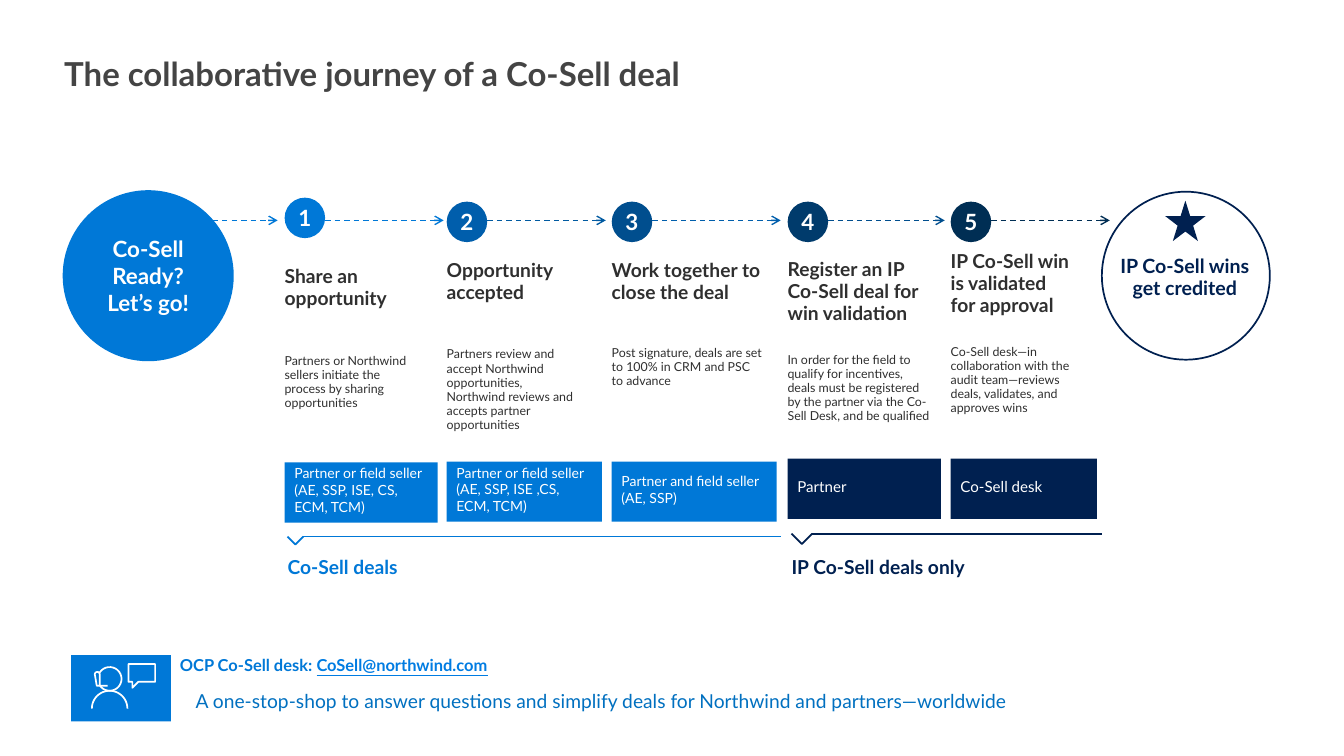
from math import cos, radians, sin

from lxml import etree
from pptx import Presentation
from pptx.dml.color import RGBColor
from pptx.enum.dml import MSO_LINE
from pptx.enum.shapes import MSO_CONNECTOR, MSO_SHAPE
from pptx.enum.text import MSO_ANCHOR, PP_ALIGN
from pptx.oxml.ns import qn
from pptx.util import Inches, Pt

STRAIGHT = MSO_CONNECTOR.STRAIGHT
OVAL, RECT, STAR = MSO_SHAPE.OVAL, MSO_SHAPE.RECTANGLE, MSO_SHAPE.STAR_5_POINT
TOP, MIDDLE = MSO_ANCHOR.TOP, MSO_ANCHOR.MIDDLE
LEFT, CENTER = PP_ALIGN.LEFT, PP_ALIGN.CENTER
DASH = MSO_LINE.DASH

BLUE = RGBColor(0x00, 0x78, 0xD7)
NAVY = RGBColor(0x00, 0x20, 0x50)
BLUE_2 = RGBColor(0x00, 0x5E, 0xAC)
BLUE_2_LINE = RGBColor(0x00, 0x5A, 0xA1)
BLUE_3 = RGBColor(0x00, 0x4E, 0x8E)
BLUE_4 = RGBColor(0x00, 0x3B, 0x6C)
BLUE_5 = RGBColor(0x00, 0x2E, 0x54)
MAIL_BLUE = RGBColor(0x00, 0x7C, 0xE2)
TAGLINE_BLUE = RGBColor(0x00, 0x70, 0xC0)
TITLE_GREY = RGBColor(0x44, 0x44, 0x44)
TEXT_GREY = RGBColor(0x2F, 0x2F, 0x2F)
WHITE = RGBColor(0xFF, 0xFF, 0xFF)

SLIDE_W, SLIDE_H = Inches(13.6), Inches(7.65)
COLUMNS = 136                      # square grid, ten cells to the inch
CELL = SLIDE_W / COLUMNS
BADGE = 4.1
ARROW_Y = 22.3


def grid(*cells):
    return [round(c * CELL) for c in cells]


def write(tf, text, size, color, bold=False, align=LEFT, anchor=TOP,
          spacing=1.0, insets=(0, 0, 0, 0)):
    tf.word_wrap = True
    tf.vertical_anchor = anchor
    tf.margin_left, tf.margin_top, tf.margin_right, tf.margin_bottom = grid(*insets)
    tf.text = text
    style(tf.paragraphs[0], size, color, bold, align, spacing)


def style(p, size, color, bold=False, align=LEFT, spacing=1.0):
    p.alignment, p.line_spacing = align, spacing
    for r in p.runs:
        r.font.name, r.font.size, r.font.bold = "Lato", Pt(size), bold
        r.font.color.rgb = color


def text_box(s, box, text, size, color, **look):
    tf = s.shapes.add_textbox(*grid(*box)).text_frame
    write(tf, text, size, color, **look)
    return tf


def paint(sp, fill=None, line=None, width=1.25):
    sp.shadow.inherit = False
    if fill is None:
        sp.fill.background()
    else:
        sp.fill.solid()
        sp.fill.fore_color.rgb = fill
    if line is None:
        sp.line.fill.background()
    else:
        sp.line.color.rgb, sp.line.width = line, Pt(width)


def shape(s, kind, box, **look):
    sp = s.shapes.add_shape(kind, *grid(*box))
    paint(sp, **look)
    return sp


def outline(s, points, color):
    points = [grid(*pt) for pt in points]
    builder = s.shapes.build_freeform(*points[0])
    builder.add_line_segments(points[1:], close=False)
    paint(builder.convert_to_shape(), line=color)


def arc(cx, cy, radius, start, end):
    turns = [radians(start + (end - start) * i / 24) for i in range(25)]
    return [(cx + radius * cos(a), cy + radius * sin(a)) for a in turns]


def line(s, x1, x2, y, color, width):
    cx = s.shapes.add_connector(STRAIGHT, *grid(x1, y, x2, y))
    cx.line.color.rgb, cx.line.width = color, Pt(width)
    etree.SubElement(cx.line._get_or_add_ln().getparent(), qn("a:effectLst"))
    return cx


def dashed_arrow(s, x1, x2, color):
    cx = line(s, x1, x2, ARROW_Y, color, 1)
    cx.line.dash_style = DASH
    etree.SubElement(cx.line._get_or_add_ln(), qn("a:tailEnd"), type="arrow")


def title(s, box, text):
    sp = s.shapes.title
    sp.left, sp.top, sp.width, sp.height = grid(*box)
    write(sp.text_frame, text, 24, TITLE_GREY, bold=True, spacing=0.9,
          insets=(0, 0.7, 0, 0))


def start_circle(s, box, text):
    sp = shape(s, OVAL, box, fill=BLUE, line=BLUE, width=2.25)
    write(sp.text_frame, text, 16.3, WHITE, bold=True, align=CENTER,
          anchor=MIDDLE, insets=(1, 1, 1, 1))


def finish_circle(s, box, text):
    x, y, w, h = box
    shape(s, OVAL, box, line=NAVY)
    shape(s, STAR, (x + 6.4, y + 0.9, BADGE, BADGE), fill=NAVY)
    text_box(s, (x + 1.7, y + 5, w - 3.6, 7.5), text, 14.3, NAVY, bold=True,
             align=CENTER, anchor=MIDDLE, spacing=0.9)


def step(s, box, number, color, text_top, text_w, gap, heading, body, role,
         role_fill, role_size):
    x, y, w, h = box
    # Numbered badge
    badge = shape(s, OVAL, (x, y, BADGE, BADGE), fill=color)
    write(badge.text_frame, str(number), 16.3, WHITE, bold=True, align=CENTER,
          anchor=MIDDLE)
    # Heading and description
    tf = text_box(s, (x, y + text_top, text_w, 17.5), heading, 14, TEXT_GREY,
                  bold=True, spacing=0.95)
    p = tf.add_paragraph()
    p.text = body
    p.space_before = Pt(gap)
    style(p, 9, TEXT_GREY, spacing=0.95)
    # Responsible role
    label = shape(s, RECT, (x, y + h - 6.1, w, 6.1), fill=role_fill)
    write(label.text_frame, role, role_size, WHITE, anchor=MIDDLE,
          insets=(1, 0, 1, 0.5))


def bracket(s, box, notch, text, color):
    x, y, w, h = box
    outline(s, [(x, y), (x + notch, y + notch), (x + 2 * notch, y)], color)
    line(s, x + 2 * notch, x + w, y, color, 1.25)
    text_box(s, (x, 56.4, w, h), text, 14, color, bold=True, spacing=0.95)


def contact(s, box):
    x, y, w, h = box
    # Help desk icon
    shape(s, RECT, (x, y, 10.1, h), fill=BLUE)
    head_x, head_y = x + 3.9, y + 2.4
    outline(s, arc(head_x, y + 5.4, 1.8, 180, 360), WHITE)
    outline(s, arc(head_x, head_y, 1.2, 146, -146), WHITE)
    outline(s, [(head_x - 0.2, head_y + 0.7), (head_x - 1.3, head_y + 0.7)]
            + arc(head_x - 1.25, head_y - 0.45, 0.25, 180, 360)
            + [(head_x - 1, head_y + 0.7)], WHITE)
    bubble = [(0, 0), (2.7, 0), (2.7, 1.8), (1, 1.8), (0.4, 2.4), (0.4, 1.8),
              (0, 1.8), (0, 0)]
    outline(s, [(x + 5.8 + dx, y + 0.9 + dy) for dx, dy in bubble], WHITE)
    # Address and tagline
    tf = text_box(s, (x + 11, y + 0.2, 52, 2.2), "OCP Co-Sell desk: ", 12, BLUE,
                  bold=True, spacing=0.9)
    p = tf.paragraphs[0]
    p.add_run().text = "CoSell@northwind.com"
    style(p, 12, BLUE, bold=True, spacing=0.9)
    p.runs[1].font.color.rgb, p.runs[1].font.underline = MAIL_BLUE, True
    text_box(s, (x + 12.6, y + 3.5, w - 12.6, 3), "A one-stop-shop to answer questions "
             "and simplify deals for Northwind and partners—worldwide", 14, TAGLINE_BLUE)


# Box, badge colour, text top, text width, gap, heading, description, role, fill, size
STEPS = [
    ((28.8, 20, 15.5, 32.9), BLUE, 6.9, 12.8, 32.5, "Share an opportunity",
     "Partners or Northwind sellers initiate the process by sharing opportunities",
     "Partner or field seller (AE, SSP, ISE, CS, ECM, TCM)", BLUE, 10.2),
    ((45.2, 20.4, 15.7, 32.4), BLUE_2, 5.9, 12.8, 32, "Opportunity accepted",
     "Partners review and accept Northwind opportunities, Northwind reviews and "
     "accepts partner opportunities",
     "Partner or field seller (AE, SSP, ISE ,CS, ECM, TCM)", BLUE, 10.2),
    ((61.9, 20.4, 16.7, 32.4), BLUE_3, 5.9, 15.4, 31, "Work together to close the deal",
     "Post signature, deals are set to 100% in CRM and PSC to advance",
     "Partner and field seller\v(AE, SSP)", BLUE, 10.2),
    ((79.7, 20.4, 15.5, 32.1), BLUE_4, 5.8, 14.4, 20.5,
     "Register an IP\vCo-Sell deal for win validation",
     "In order for the field to qualify for incentives, deals must be registered "
     "by the partner via the Co-Sell Desk, and be qualified",
     "Partner", NAVY, 11),
    ((96.2, 20.4, 14.8, 32.1), BLUE_5, 5, 13.6, 20.5,
     "IP Co-Sell win\vis validated\vfor approval",
     "Co-Sell desk—in collaboration with the audit team—reviews deals, validates, "
     "and approves wins",
     "Co-Sell desk", NAVY, 11),
]
ARROWS = [(21.5, 28.1, BLUE), (32.9, 44.9, BLUE), (49.3, 61.3, BLUE_2_LINE),
          (66, 79, BLUE_2), (83.8, 95.6, BLUE_3), (100.3, 112.3, BLUE_5)]


def main():
    prs = Presentation()
    prs.slide_width, prs.slide_height = SLIDE_W, SLIDE_H
    s = prs.slides.add_slide(prs.slide_layouts[5])
    title(s, (6.5, 5.2, 114.4, 4.3), "The collaborative journey of a Co-Sell deal")
    start_circle(s, (6.5, 19.4, 17, 17), "Co-Sell Ready?\vLet’s go!")
    finish_circle(s, (111.5, 19.4, 17, 17), "IP Co-Sell wins get credited")
    for x1, x2, color in ARROWS:
        dashed_arrow(s, x1, x2, color)
    for number, (box, color, *details) in enumerate(STEPS, 1):
        step(s, box, number, color, *details)
    bracket(s, (29.1, 54.3, 49.9, 2.5), 0.8, "Co-Sell deals", BLUE)
    bracket(s, (80.1, 54, 31.4, 2.5), 1.05, "IP Co-Sell deals only", NAVY)
    contact(s, (7.2, 66.3, 117, 6.7))
    prs.save("out.pptx")


if __name__ == "__main__":
    main()
